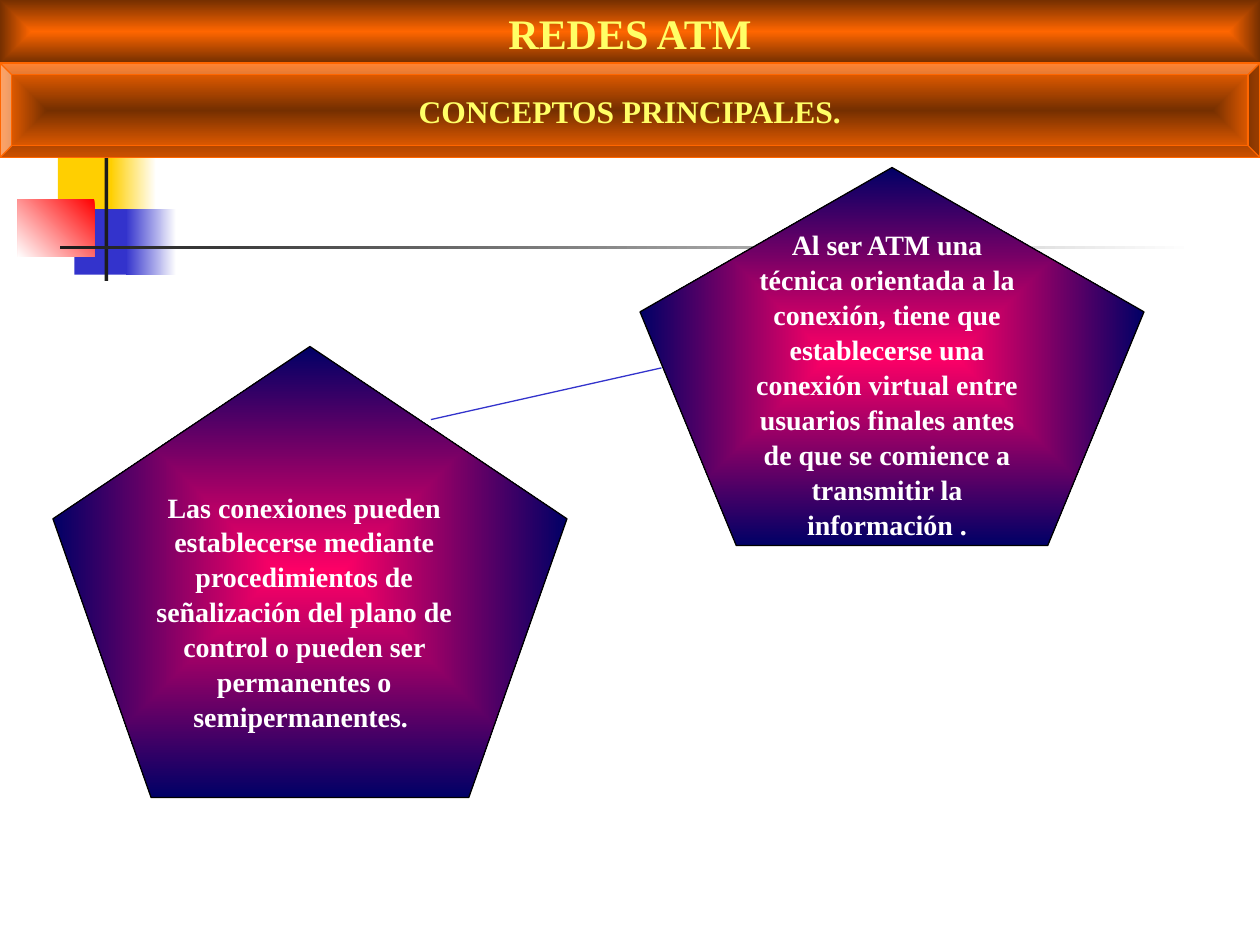
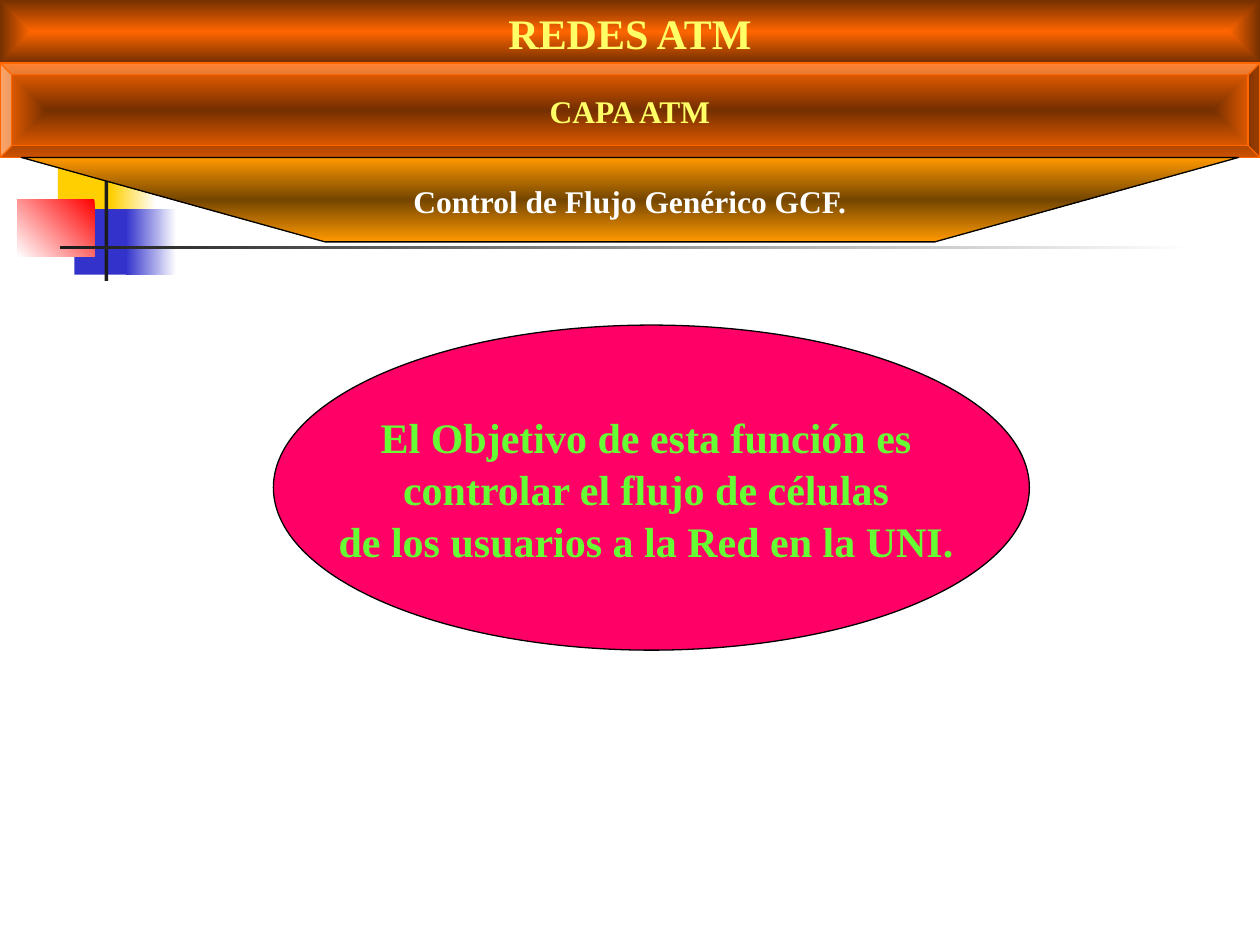
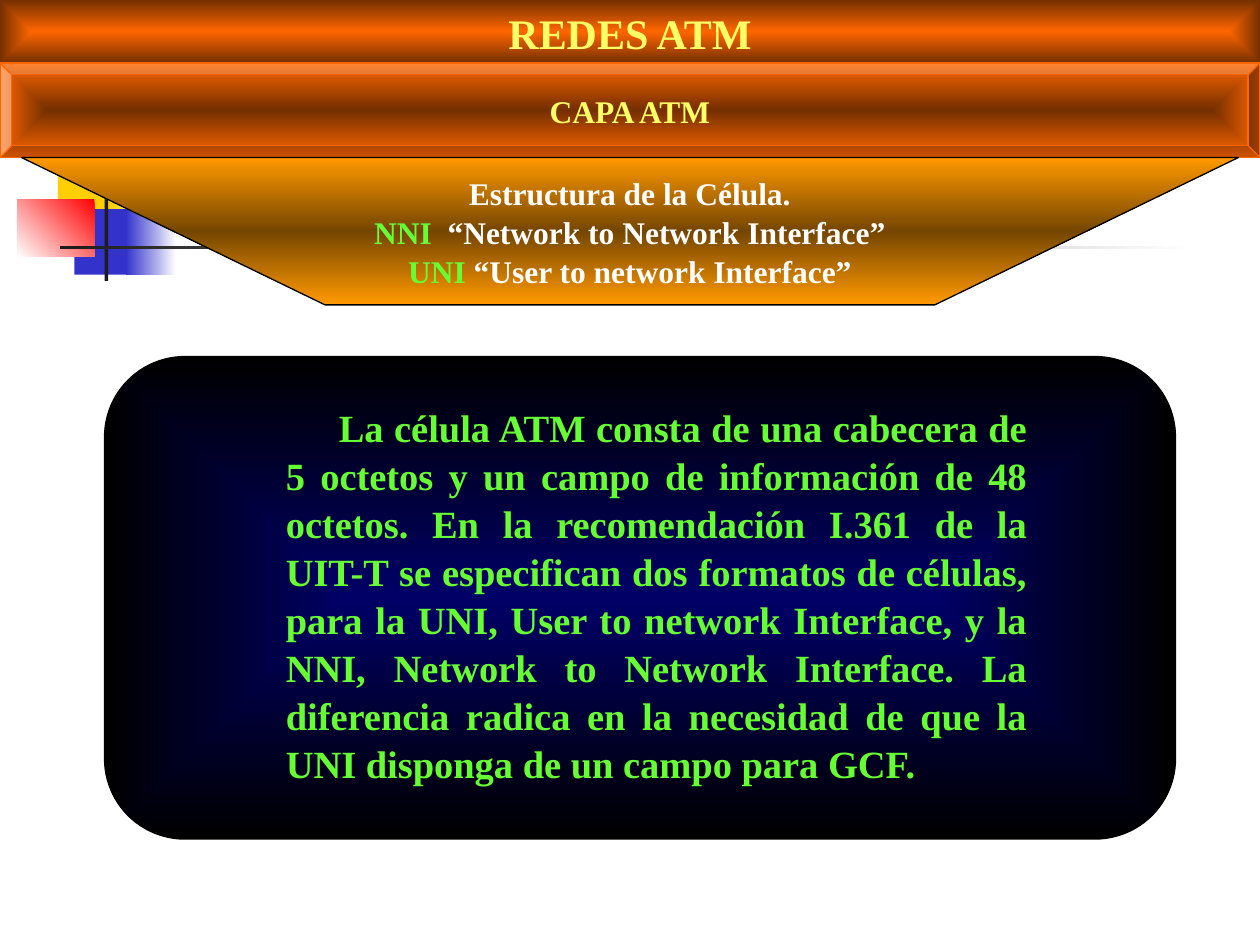
from pptx import Presentation
from pptx import util as u
from pptx.dml.color import RGBColor
from pptx.enum import shapes, text
from pptx.oxml import parse_xml
from pptx.oxml.ns import nsdecls, qn

C = {"white": "FFFFFF", "black": "000000", "yellow": "FFCF01", "blue": "3333CC",
     "red": "FF0000", "ink": "1C1C1C", "pink": "FF0066", "navy": "000066",
     "orange": "FF6600", "brown": "752F00", "amber": "FF9900", "umber": "754600",
     "cream": "FFFF66", "green": "66FF33"}
FONT = "Times New Roman"
SHAPE = shapes.MSO_SHAPE
CENTER, JUSTIFY = text.PP_ALIGN.CENTER, text.PP_ALIGN.JUSTIFY


def paint(sp, fill, line=None, angle=None):
    """Fill with one colour, or with a pair: linear at an angle, else from the centre."""
    sp.shadow.inherit = False
    if isinstance(fill, str):
        sp.fill.solid()
        sp.fill.fore_color.rgb = RGBColor.from_string(C[fill])
    else:
        sp.fill.gradient()
        for stop, name in zip(sp.fill.gradient_stops, fill):
            stop.color.rgb = RGBColor.from_string(C[name])
        if angle is not None:
            sp.fill.gradient_angle = 360 - angle
        else:
            grad = sp.element.spPr.find(qn("a:gradFill"))
            grad.replace(grad.find(qn("a:lin")), parse_xml(
                f'<a:path {nsdecls("a")} path="rect"><a:fillToRect l="50000" '
                't="50000" r="50000" b="50000"/></a:path>'))
    if line:
        sp.line.color.rgb = RGBColor.from_string(C[line])
        sp.line.width = u.Pt(0.75)
    else:
        sp.line.fill.background()


def write(sp, paras, size, color, align=CENTER, wrap=True, anchor="MIDDLE"):
    """Each paragraph is a list of (text, colour) runs, or one plain string."""
    tf = sp.text_frame
    frame = {"word_wrap": wrap, "auto_size": text.MSO_AUTO_SIZE.NONE,
             "vertical_anchor": text.MSO_ANCHOR[anchor],
             "margin_left": u.Inches(0.1), "margin_right": u.Inches(0.1),
             "margin_top": u.Inches(0.05), "margin_bottom": u.Inches(0.05)}
    for key, value in frame.items():
        setattr(tf, key, value)
    for i, para in enumerate(paras):
        p = tf.add_paragraph() if i else tf.paragraphs[0]
        p.alignment, p.line_spacing = align, 1.04
        for words, name in [(para, color)] if isinstance(para, str) else para:
            r = p.add_run()
            r.text = words
            for key, value in {"name": FONT, "size": u.Pt(size), "bold": True}.items():
                setattr(r.font, key, value)
            r.font.color.rgb = RGBColor.from_string(C[name])


prs = Presentation()
prs.slide_width, prs.slide_height = u.Inches(10), u.Inches(7.5)
layout = prs.slide_layouts[5]
slides = [prs.slides.add_slide(layout) for _ in range(3)]

# Corner ornament and rule, kept on the layout
ornament = [
    ((0.46, 1.2, 0.48, 0.52), "yellow", None),
    ((0.88, 1.2, 0.36, 0.52), ("white", "yellow"), 180),
    ((0.59, 1.66, 0.46, 0.52), "blue", None),
    ((1, 1.66, 0.4, 0.52), ("white", "blue"), 180),
    ((0.14, 1.58, 0.61, 0.46), ("red", "white"), 135),
    ((0.83, 1.08, 0.03, 1.15), "ink", None),
    ((0.48, 1.95, 9, 0.03), ("white", "ink"), 180),
]
for box, fill, angle in ornament:
    sp = slides[0].shapes.add_shape(SHAPE.RECTANGLE, *map(u.Inches, box))
    paint(sp, fill, angle=angle)
    layout.shapes.element.append(sp.element)

# Title band and section band on every slide
sections = ["CONCEPTOS PRINCIPALES.", "CAPA ATM", "CAPA ATM"]
for s, section in zip(slides, sections):
    title = s.shapes.title
    title.left, title.top, title.width, title.height = map(u.Inches, (0, 0, 10, 0.5))
    paint(title, ("orange", "brown"))
    write(title, ["REDES ATM"], 24, "cream")
    sp = s.shapes.add_shape(SHAPE.BEVEL, *map(u.Inches, (0, 0.5, 10, 0.75)))
    paint(sp, ("brown", "orange"), "orange")
    write(sp, [section], 18, "cream", wrap=False)

# Slide 1: two linked pentagons
s = slides[0]
pentagons = [
    ((0.42, 2.75, 4.08, 3.58), (1, 3.83, 2.83, 1.97),
     "Las conexiones pueden establecerse mediante procedimientos de señalización "
     "del plano de control o pueden ser permanentes o semipermanentes. "),
    ((5.08, 1.33, 4, 3), (5.83, 1.75, 2.42, 2.5),
     "Al ser ATM una técnica orientada a la conexión, tiene que establecerse una "
     "conexión virtual entre usuarios finales antes de que se comience a transmitir "
     "la información ."),
]
for box, text_box, words in pentagons:
    sp = s.shapes.add_shape(SHAPE.REGULAR_PENTAGON, *map(u.Inches, box))
    paint(sp, ("pink", "navy"), "black")
    sp = s.shapes.add_textbox(*map(u.Inches, text_box))
    write(sp, [words], 16, "white", anchor="TOP")
link = s.shapes.add_connector(shapes.MSO_CONNECTOR.STRAIGHT,
                              *map(u.Inches, (3.42, 3.33, 5.25, 2.92)))
link.line.color.rgb = RGBColor.from_string(C["blue"])
link.line.width = u.Pt(0.75)
link.element.spPr.append(parse_xml(f'<a:effectLst {nsdecls("a")}/>'))

# Slides 2 and 3: topic trapezoid under the bands
topics = [
    (slides[1], 1.92, ["Control de Flujo Genérico GCF."]),
    (slides[2], 2.42, ["Estructura de la Célula.",
                       [("NNI ", "green"), (" “Network to Network Interface”", "white")],
                       [("UNI", "green"), (" “User to network Interface”", "white")]]),
]
for s, bottom, paras in topics:
    outline = s.shapes.build_freeform(u.Inches(0.17), u.Inches(1.25))
    outline.add_line_segments([(u.Inches(x), u.Inches(y)) for x, y in
                               [(9.83, 1.25), (7.42, bottom), (2.58, bottom)]])
    sp = outline.convert_to_shape()
    paint(sp, ("umber", "amber"), "black")
    write(sp, paras, 18, "white", wrap=False)

# Slide 2: objective
sp = slides[1].shapes.add_shape(SHAPE.OVAL, *map(u.Inches, (2.17, 2.58, 6, 2.58)))
paint(sp, "pink", "black")
write(sp, ["El Objetivo de esta función es ", "controlar el flujo de células ",
           "de los usuarios a la Red en la UNI. "], 24, "green", wrap=False)

# Slide 3: cell structure
s = slides[2]
sp = s.shapes.add_shape(SHAPE.ROUNDED_RECTANGLE, *map(u.Inches, (0.83, 2.83, 8.5, 3.83)))
paint(sp, ("navy", "black"), "black")
sp = s.shapes.add_textbox(*map(u.Inches, (2.17, 3.14, 6.08, 3.04)))
write(sp, ["La célula ATM consta de una cabecera de 5 octetos y un campo de información "
           "de 48 octetos. En la recomendación I.361 de la UIT-T se especifican dos "
           "formatos de células, para la UNI, User to network Interface, y la NNI, "
           "Network to Network Interface. La diferencia radica en la necesidad de que "
           "la UNI disponga de un campo para GCF. "],
      22, "green", align=JUSTIFY, anchor="TOP")
sp.text_frame.paragraphs[0].element.get_or_add_pPr().set("indent", str(u.Inches(0.42))) \
    if hasattr(sp.text_frame.paragraphs[0], "element") else \
    sp.text_frame.paragraphs[0]._p.get_or_add_pPr().set("indent", str(u.Inches(0.42)))

prs.save("out.pptx")
